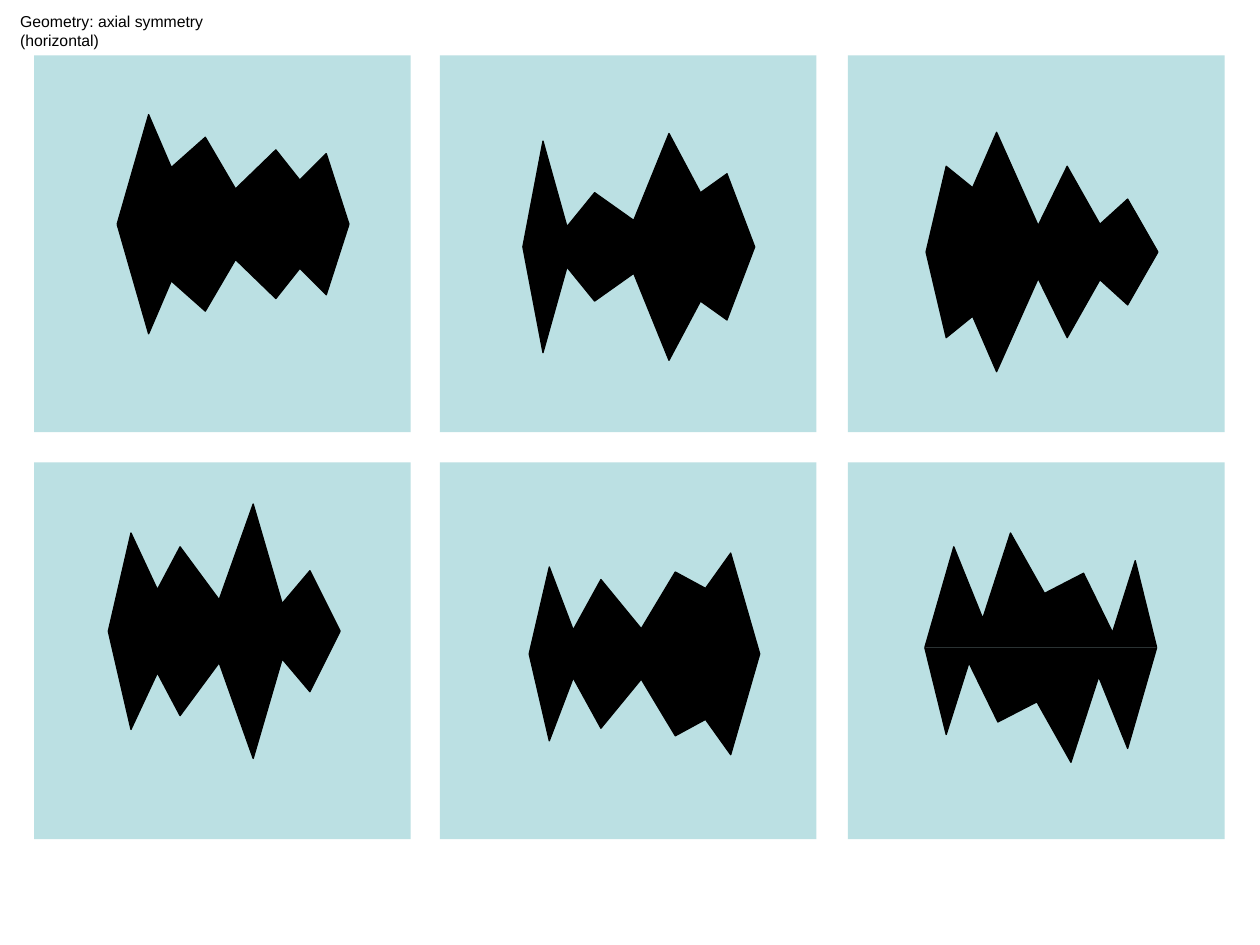
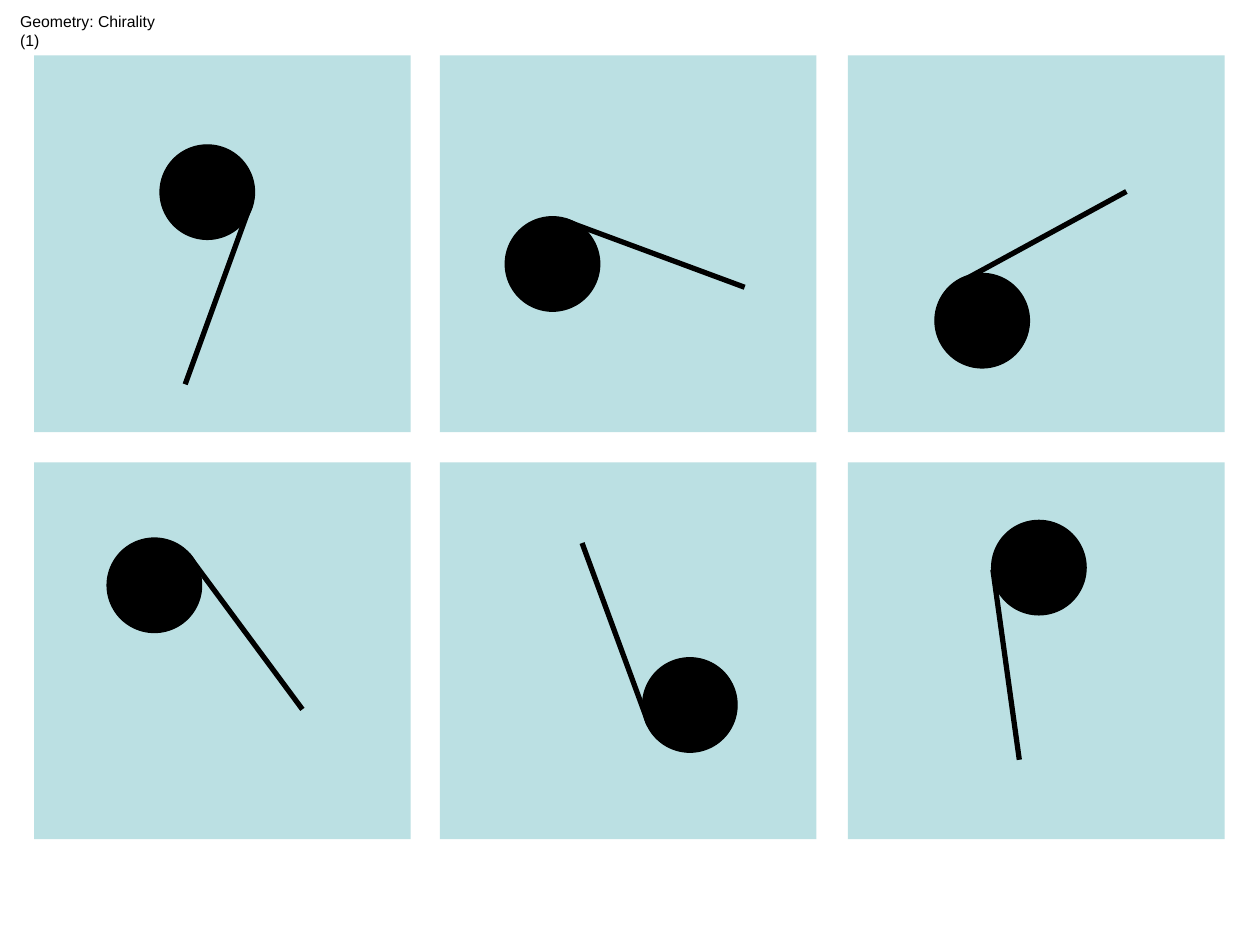
from dataclasses import dataclass
from itertools import product

from lxml import etree
from pptx import Presentation
from pptx.dml.color import RGBColor
from pptx.enum.shapes import MSO_CONNECTOR, MSO_SHAPE
from pptx.enum.text import MSO_ANCHOR, MSO_AUTO_SIZE, PP_ALIGN
from pptx.oxml.ns import qn
from pptx.shapes.base import BaseShape
from pptx.slide import Slide
from pptx.util import Emu, Pt

PX = 9144  # EMU per px, 100 px to the inch

BLACK = RGBColor(0x00, 0x00, 0x00)
PANEL_BLUE = RGBColor(0xBB, 0xE0, 0xE3)
FONT = "Arial"

PANEL_LEFTS = (27, 349, 673)
PANEL_TOPS = (44, 367)
PANEL_SIZE = 299
DISC_SIZE = 75

Point = tuple[int, int]


@dataclass(frozen=True)
class Figure:
    """Upper outline, from one end of the horizontal axis to the other."""
    outline: tuple[Point, ...]
    half_turn: bool = False

    def lower_outline(self) -> list[Point]:
        """Mirror the outline in its axis, or turn it about the axis centre."""
        (left, axis), (right, _) = self.outline[0], self.outline[-1]
        return [(left + right - x if self.half_turn else x, 2 * axis - y)
                for x, y in self.outline]


@dataclass(frozen=True)
class TailedDisc:
    corner: Point
    tail_start: Point
    tail_end: Point


FIGURES = (
    Figure(((93, 178), (118, 91), (136, 133), (163, 109), (187, 150),
            (219, 119), (238, 143), (259, 122), (277, 178))),
    Figure(((415, 196), (431, 112), (450, 180), (472, 153), (503, 175),
            (531, 106), (556, 153), (577, 138), (599, 196))),
    Figure(((735, 200), (751, 132), (772, 149), (791, 105), (824, 179),
            (847, 132), (873, 178), (895, 158), (919, 200))),
    Figure(((86, 501), (104, 423), (125, 468), (143, 434), (174, 476),
            (201, 400), (224, 479), (246, 453), (270, 501))),
    Figure(((420, 519), (436, 450), (455, 500), (477, 460), (509, 499),
            (536, 454), (560, 467), (580, 439), (603, 519))),
    Figure(((734, 514), (757, 434), (780, 491), (802, 423), (829, 471),
            (860, 455), (883, 502), (901, 445), (918, 514)), half_turn=True),
)

TAILED_DISCS = (
    TailedDisc((127, 115), (199, 162), (147, 305)),
    TailedDisc((401, 172), (448, 175), (591, 228)),
    TailedDisc((742, 217), (760, 225), (894, 152)),
    TailedDisc((85, 427), (149, 440), (240, 563)),
    TailedDisc((510, 522), (515, 575), (462, 431)),
    TailedDisc((787, 413), (788, 452), (809, 603)),
)


def px(*values: int) -> list[Emu]:
    return [Emu(v * PX) for v in values]


def paint(sp: BaseShape, fill: RGBColor, line: RGBColor | None = None) -> None:
    sp.shadow.inherit = False
    sp.fill.solid()
    sp.fill.fore_color.rgb = fill
    if line is None:
        sp.line.fill.background()
    else:
        sp.line.color.rgb = line
        sp.line.width = Pt(0.75)


def set_text(sp: BaseShape, text: str, *, size: int, color: RGBColor = BLACK,
             align: PP_ALIGN = PP_ALIGN.LEFT) -> None:
    tf = sp.text_frame
    tf.word_wrap = False
    tf.auto_size = MSO_AUTO_SIZE.SHAPE_TO_FIT_TEXT
    tf.vertical_anchor = MSO_ANCHOR.TOP
    tf.margin_left, tf.margin_right = px(10, 10)
    tf.margin_top, tf.margin_bottom = px(5, 5)
    p = tf.paragraphs[0]
    p.alignment = align
    r = p.add_run()
    r.text = text
    r.font.name = FONT
    r.font.size = Pt(size)
    r.font.color.rgb = color


def add_panel_slide(prs: Presentation, title: str, title_width: int) -> Slide:
    """Add a titled slide with the two by three grid of panels."""
    s = prs.slides.add_slide(prs.slide_layouts[5])
    sp = s.shapes.title
    sp.left, sp.top, sp.width, sp.height = px(6, 4, title_width, 25)
    set_text(sp, title, size=9)
    for top, left in product(PANEL_TOPS, PANEL_LEFTS):
        panel = s.shapes.add_shape(
            MSO_SHAPE.RECTANGLE, *px(left, top, PANEL_SIZE, PANEL_SIZE))
        paint(panel, PANEL_BLUE)
    return s


def add_figure(s: Slide, figure: Figure) -> None:
    group = s.shapes.add_group_shape()
    for half in (figure.outline, figure.lower_outline()):
        builder = group.shapes.build_freeform(*half[0], scale=PX)
        builder.add_line_segments(half[1:], close=False)
        paint(builder.convert_to_shape(), BLACK, BLACK)


def add_tailed_disc(s: Slide, item: TailedDisc) -> None:
    group = s.shapes.add_group_shape()
    disc = group.shapes.add_shape(
        MSO_SHAPE.OVAL, *px(*item.corner, DISC_SIZE, DISC_SIZE))
    paint(disc, BLACK, BLACK)
    tail = group.shapes.add_connector(
        MSO_CONNECTOR.STRAIGHT, *px(*item.tail_start, *item.tail_end))
    tail.line.color.rgb = BLACK
    tail.line.width = Pt(3)
    etree.SubElement(tail._element.spPr, qn("a:effectLst"))


def main() -> None:
    prs = Presentation()
    prs.slide_width, prs.slide_height = px(1000, 750)

    s = add_panel_slide(prs, "Geometry: axial symmetry (horizontal)", 231)
    for figure in FIGURES:
        add_figure(s, figure)

    s = add_panel_slide(prs, "Geometry: Chirality (1)", 145)
    for item in TAILED_DISCS:
        add_tailed_disc(s, item)

    prs.save("out.pptx")


if __name__ == "__main__":
    main()
